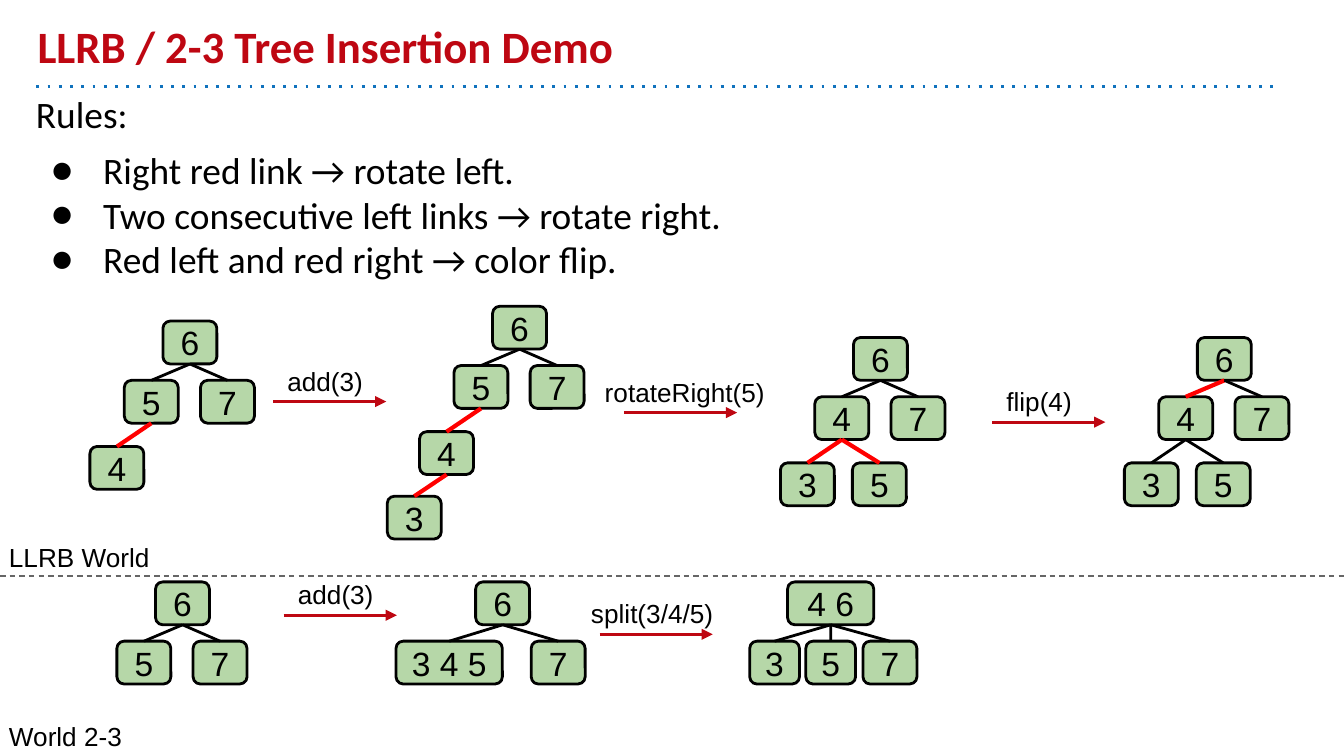
from lxml.etree import SubElement
from pptx import Presentation
from pptx.dml.color import RGBColor
from pptx.enum.shapes import MSO_CONNECTOR, MSO_SHAPE
from pptx.enum.text import MSO_ANCHOR, MSO_AUTO_SIZE, PP_ALIGN
from pptx.oxml.ns import qn
from pptx.util import Cm, Pt

TITLE = "LLRB / 2-3 Tree Insertion Demo"
RULES_HEADING = "Rules:"
RULES = [
    "Right red link → rotate left.",
    "Two consecutive left links → rotate right.",
    "Red left and red right → color flip.",
]
WORLDS = [("LLRB World", 9.98), ("World 2-3", 13.36)]

BLACK, CRIMSON, RED, GREEN = "000000", "BE0712", "FF0000", "B6D7A8"
BLUE, GRAY = "1072BD", "666666"
NODE_W, NODE_H = 1.02, 0.81
LEVELS = [0, 1.12, 2.37, 3.59]
LEFT, RIGHT, LEFT_LEFT, LEFT_RIGHT, DEEPEST = -0.73, 0.71, -1.38, -0.02, -1.99

# Each node: label, parent index, level, offset from the root, link colour, width
LLRB_ROOT = ("6", None, 0, 0, BLACK, NODE_W)
SEVEN = ("7", 0, 1, RIGHT, BLACK, NODE_W)


def llrb(left, left_link, *lower):
    return [LLRB_ROOT, (left, 0, 1, LEFT, left_link, NODE_W), SEVEN, *lower]


def four_node(link):
    return [("3", 1, 2, LEFT_LEFT, link, NODE_W), ("5", 1, 2, LEFT_RIGHT, link, NODE_W)]


TREES = [
    (3.59, 6.07, llrb("5", BLACK, ("4", 1, 2, LEFT_LEFT, RED, NODE_W))),
    (9.82, 5.79, llrb("5", BLACK, ("4", 1, 2, LEFT_LEFT, RED, NODE_W),
                      ("3", 3, 3, DEEPEST, RED, NODE_W))),
    (16.64, 6.38, llrb("4", BLACK, *four_node(RED))),
    (23.14, 6.38, llrb("4", RED, *four_node(BLACK))),
    (3.45, 11, llrb("5", BLACK)),
    (9.5, 11, [LLRB_ROOT, ("3 4 5", 0, 1, -1.01, BLACK, 2.01),
               ("7", 0, 1, 1.05, BLACK, NODE_W)]),
    (15.7, 11, [("4 6", None, 0, 0, BLACK, 1.63), ("3", 0, 1, -1.06, BLACK, 0.94),
                ("5", 0, 1, 0, BLACK, 0.94), ("7", 0, 1, 1.12, BLACK, NODE_W)]),
]

STEP_LENGTH, STEP_LABEL_RISE = 2.14, 0.94
STEPS = [
    ("add(3)", 5.16, 7.59, 5.18, 3.86),
    ("rotateRight(5)", 11.79, 7.8, 11.18, 3.86),
    ("flip(4)", 18.75, 7.98, 18.77, 1.8),
    ("add(3)", 5.36, 11.63, 5.38, 3.86),
    ("split(3/4/5)", 11.33, 11.99, 10.92, 3.86),
]


def color(value):
    return RGBColor.from_string(value)


def frame(shape, anchor=MSO_ANCHOR.TOP):
    text_frame = shape.text_frame
    inset = Cm(0.25)
    formats = dict(word_wrap=True, auto_size=MSO_AUTO_SIZE.NONE, vertical_anchor=anchor,
                   margin_left=inset, margin_right=inset, margin_top=inset, margin_bottom=inset)
    for name, value in formats.items():
        setattr(text_frame, name, value)
    return text_frame


def write(paragraph, words, size, font="Arial", tint=BLACK, bold=False, align=PP_ALIGN.LEFT):
    paragraph.alignment = align
    run = paragraph.add_run()
    run.text = words
    for name, value in dict(size=Pt(size), name=font, bold=bold).items():
        setattr(run.font, name, value)
    run.font.color.rgb = color(tint)


def place(shape, left, top, width, height):
    for name, value in dict(left=left, top=top, width=width, height=height).items():
        setattr(shape, name, Cm(value))


def add_label(slide, words, left, top, width, height):
    label = slide.shapes.add_textbox(Cm(left), Cm(top), Cm(width), Cm(height))
    write(frame(label).paragraphs[0], words, 14)


def add_line(slide, ends, tint, width, dash=None, arrow=False):
    line = slide.shapes.add_connector(MSO_CONNECTOR.STRAIGHT, *[Cm(v) for v in ends])
    line.line.color.rgb = color(tint)
    line.line.width = Pt(width)
    properties = line._element.spPr
    stroke = properties.find(qn("a:ln"))
    if dash:
        SubElement(stroke, qn("a:prstDash"), val=dash)
    if arrow:
        SubElement(stroke, qn("a:tailEnd"), type="triangle")
    SubElement(properties, qn("a:effectLst"))
    return line


def add_node(slide, words, center, top, width):
    node = slide.shapes.add_shape(MSO_SHAPE.ROUNDED_RECTANGLE, Cm(center - width / 2),
                                  Cm(top), Cm(width), Cm(NODE_H))
    node.shadow.inherit = False
    node.fill.solid()
    node.fill.fore_color.rgb = color(GREEN)
    node.line.color.rgb = color(BLACK)
    node.line.width = Pt(1.5)
    write(frame(node, MSO_ANCHOR.MIDDLE).paragraphs[0], words, 18, align=PP_ALIGN.CENTER)
    return node


def add_tree(slide, center, top, members):
    nodes = []
    for words, parent, level, offset, link_color, width in members:
        node = add_node(slide, words, center + offset, top + LEVELS[level], width)
        nodes.append(node)
        if parent is not None:
            link = add_line(slide, (0, 0, 0, 0), link_color, 2.25 if link_color == RED else 1.5)
            link.begin_connect(nodes[parent], 2)
            link.end_connect(node, 0)


def add_rules(body):
    place(body, 0.43, 1.47, 22.78, 3.53)
    rules = frame(body)
    for index, words in enumerate([RULES_HEADING, *RULES]):
        paragraph = rules.paragraphs[0] if index == 0 else rules.add_paragraph()
        properties = paragraph._p.get_or_add_pPr()
        if index == 0:
            properties.set("marL", "0")
            properties.set("indent", "0")
            SubElement(properties, qn("a:buNone"))
        else:
            properties.set("marL", str(Cm(1.27)))
            properties.set("indent", str(-Cm(0.99)))
            bullet_color = SubElement(properties, qn("a:buClr"))
            SubElement(bullet_color, qn("a:srgbClr"), val=BLACK)
            SubElement(properties, qn("a:buFont"), typeface="Calibri")
            SubElement(properties, qn("a:buChar"), char="●")
        paragraph.space_before = Pt(6 if index == 1 else 0)
        write(paragraph, words, 20, "Calibri")


def main():
    deck = Presentation()
    deck.slide_width, deck.slide_height = Cm(25.4), Cm(14.29)
    slide = deck.slides.add_slide(deck.slide_layouts[1])
    title, body = slide.placeholders

    place(title, 0.46, 0.25, 22.86, 1.37)
    write(frame(title, MSO_ANCHOR.BOTTOM).paragraphs[0], TITLE, 24, "Calibri", CRIMSON, True)
    add_rules(body)

    add_line(slide, (0.69, 1.63, 24.13, 1.63), BLUE, 1.5, "dot")
    add_line(slide, (0, 10.89, 25.4, 10.89), GRAY, 0.75, "dash")
    for words, top in WORLDS:
        add_label(slide, words, -0.08, top, 3.5, 0.74)
    for words, left, y, label_left, label_width in STEPS:
        add_line(slide, (left, y, left + STEP_LENGTH, y), CRIMSON, 1.5, arrow=True)
        add_label(slide, words, label_left, y - STEP_LABEL_RISE, label_width, 1.14)
    for tree in TREES:
        add_tree(slide, *tree)

    deck.save("out.pptx")


if __name__ == "__main__":
    main()
